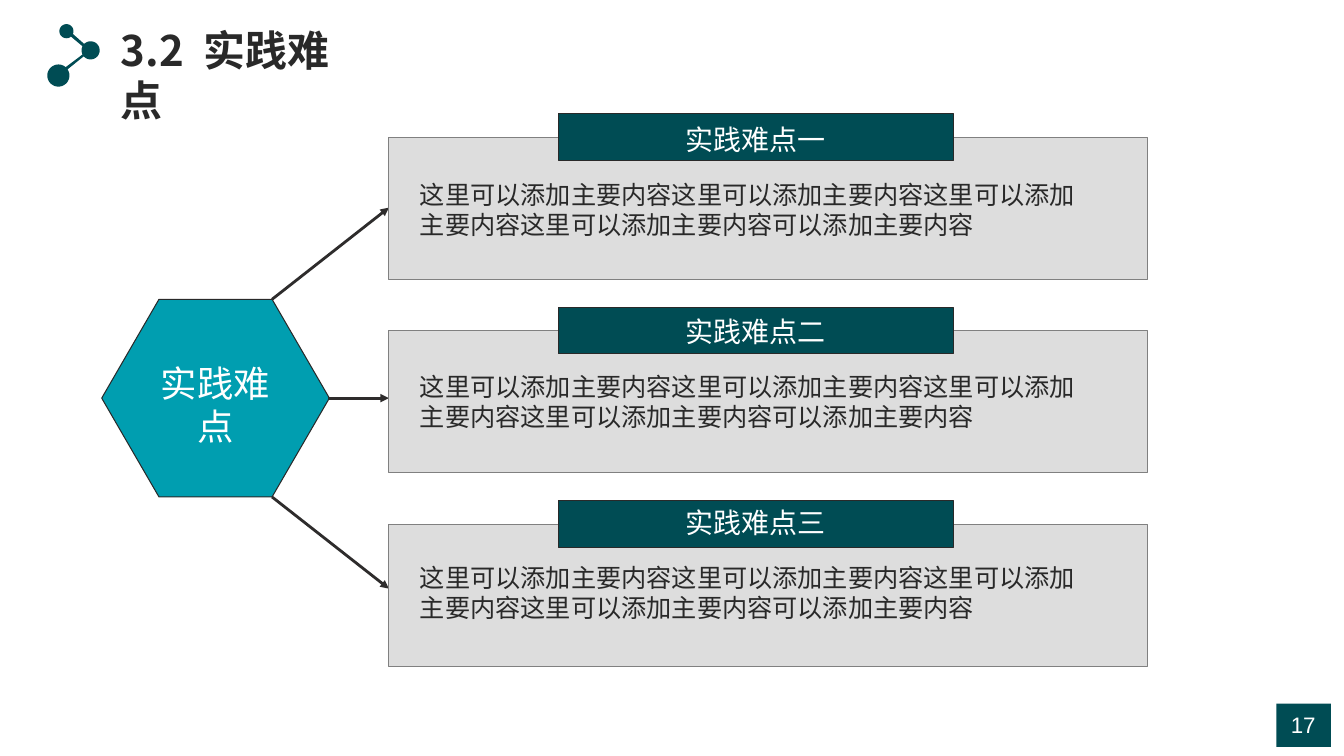
from dataclasses import dataclass
from math import cos, radians, sin

from pptx import Presentation, util as u
from pptx.dml.color import RGBColor
from pptx.enum import shapes, text
from pptx.oxml.ns import qn
from lxml import etree

CJK_FONT = "Noto Sans CJK SC"
TEAL, CYAN, GREY, INK, WHITE = "004C54", "009EB0", "DDDDDD", "292929", "FFFFFF"
BODY = "这里可以添加主要内容这里可以添加主要内容这里可以添加主要内容这里可以添加主要内容可以添加主要内容"
CARD_TOP, CARD_PITCH = 1.36, 1.92
TEXT_TOP, TEXT_PITCH = 1.17, 1.9


@dataclass
class Box:
    left: float
    top: float
    width: float
    height: float

    def lengths(self) -> list:
        return [u.Inches(v) for v in (self.left, self.top, self.width, self.height)]


@dataclass
class Difficulty:
    heading: str
    arrow_start: tuple
    arrow_end: tuple


@dataclass
class Arc:
    """Part of a node's rim; angles in degrees, clockwise from the right."""
    x: float
    y: float
    radius: float
    start: int
    end: int


DIFFICULTIES = [
    Difficulty("实践难点一", (2.7, 2.97), (3.86, 2.06)),
    Difficulty("实践难点二", (3.26, 3.95), (3.86, 3.95)),
    Difficulty("实践难点三", (2.7, 4.93), (3.86, 5.84)),
]
MOLECULE = [
    Arc(0.58, 0.75, 0.11, -34, 311),
    Arc(0.9, 0.5, 0.09, 153, 207),
    Arc(0.66, 0.31, 0.07, 50, 383),
    Arc(0.9, 0.5, 0.09, 225, 499),
]


def color(value: str) -> RGBColor:
    return RGBColor.from_string(value)


def paint(shape, fill: str, line: str = "") -> None:
    shape.shadow.inherit = False
    shape.fill.solid()
    shape.fill.fore_color.rgb = color(fill)
    if line:
        shape.line.color.rgb = color(line)
        shape.line.width = u.Pt(0)
    else:
        shape.line.fill.background()


def add_block(slide, box: Box, fill: str, line: str = "",
              kind=shapes.MSO_SHAPE.RECTANGLE):
    shape = slide.shapes.add_shape(kind, *box.lengths())
    paint(shape, fill, line)
    return shape


def write(paragraph, wording: str, size: int, ink: str, name: str = CJK_FONT,
          bold: bool = False):
    """Add a run whose Latin and East Asian fonts agree."""
    run = paragraph.add_run()
    run.text = wording
    for key, value in {"size": u.Pt(size), "name": name, "bold": bold}.items():
        setattr(run.font, key, value)
    run.font.color.rgb = color(ink)
    etree.SubElement(run.font._element, qn("a:ea"), typeface=name)
    return run


def add_label(slide, box: Box, wording: str, size: int, ink: str,
              align=text.PP_ALIGN.CENTER, name: str = CJK_FONT) -> None:
    frame = slide.shapes.add_textbox(*box.lengths()).text_frame
    frame.word_wrap = True
    frame.paragraphs[0].alignment = align
    write(frame.paragraphs[0], wording, size, ink, name)


def add_arrow(slide, start: tuple, end: tuple) -> None:
    ends = [u.Inches(v) for v in (*start, *end)]
    arrow = slide.shapes.add_connector(shapes.MSO_CONNECTOR.STRAIGHT, *ends)
    arrow.line.color.rgb = color("2E2C2C")
    arrow.line.width = u.Pt(0)
    etree.SubElement(arrow.line._get_or_add_ln(), qn("a:tailEnd"), type="triangle")
    etree.SubElement(arrow._element.spPr, qn("a:effectLst"))


def add_molecule(slide) -> None:
    points = []
    for arc in MOLECULE:
        steps = max(6, (arc.end - arc.start) // 8)
        for step in range(steps + 1):
            angle = radians(arc.start + (arc.end - arc.start) * step / steps)
            points.append((u.Inches(arc.x + arc.radius * cos(angle)),
                           u.Inches(arc.y + arc.radius * sin(angle))))
    builder = slide.shapes.build_freeform(*points[0])
    builder.add_line_segments(points[1:], close=True)
    paint(builder.convert_to_shape(), TEAL)


def add_title(slide) -> None:
    title = slide.shapes.title
    sides = ("left", "top", "width", "height")
    for side, length in zip(sides, Box(1.1, 0.19, 2.6, 0.6).lengths()):
        setattr(title, side, length)
    frame = title.text_frame
    settings = {"word_wrap": True, "auto_size": text.MSO_AUTO_SIZE.NONE,
                "vertical_anchor": text.MSO_ANCHOR.TOP}
    for key, value in settings.items():
        setattr(frame, key, value)
    paragraph = frame.paragraphs[0]
    paragraph.alignment = text.PP_ALIGN.LEFT
    for wording in ("3.2", " ", "实践难点"):
        run = write(paragraph, wording, 30, INK, bold=True)
        if wording == " ":
            run.font._element.set("spc", "700")


def main() -> None:
    presentation = Presentation()
    presentation.slide_width = u.Inches(13.34)
    presentation.slide_height = u.Inches(7.5)
    slide = presentation.slides.add_slide(presentation.slide_layouts[5])

    add_block(slide, Box(12.67, 6.98, 0.54, 0.43), TEAL)
    add_label(slide, Box(12.33, 7.01, 1.21, 0.37), "17", 16, WHITE, name="Arial")
    add_title(slide)
    add_molecule(slide)

    hexagon = add_block(slide, Box(1.01, 2.97, 2.26, 1.96), CYAN, INK,
                        shapes.MSO_SHAPE.HEXAGON)
    hexagon.adjustments[0] = 0.29
    add_label(slide, Box(1.32, 3.53, 1.64, 0.97), "实践难点", 26, WHITE)

    for index, difficulty in enumerate(DIFFICULTIES):
        card_top = CARD_TOP + index * CARD_PITCH
        text_top = TEXT_TOP + index * TEXT_PITCH
        add_arrow(slide, difficulty.arrow_start, difficulty.arrow_end)
        add_block(slide, Box(3.86, card_top, 7.53, 1.41), GREY, "808080")
        add_block(slide, Box(5.54, card_top - 0.23, 3.92, 0.46), TEAL, INK)
        add_label(slide, Box(5.8, text_top, 3.4, 0.44), difficulty.heading, 20, WHITE)
        add_label(slide, Box(4.07, text_top + 0.56, 6.85, 0.7), BODY, 18, INK,
                  text.PP_ALIGN.LEFT)

    presentation.save("out.pptx")


if __name__ == "__main__":
    main()
